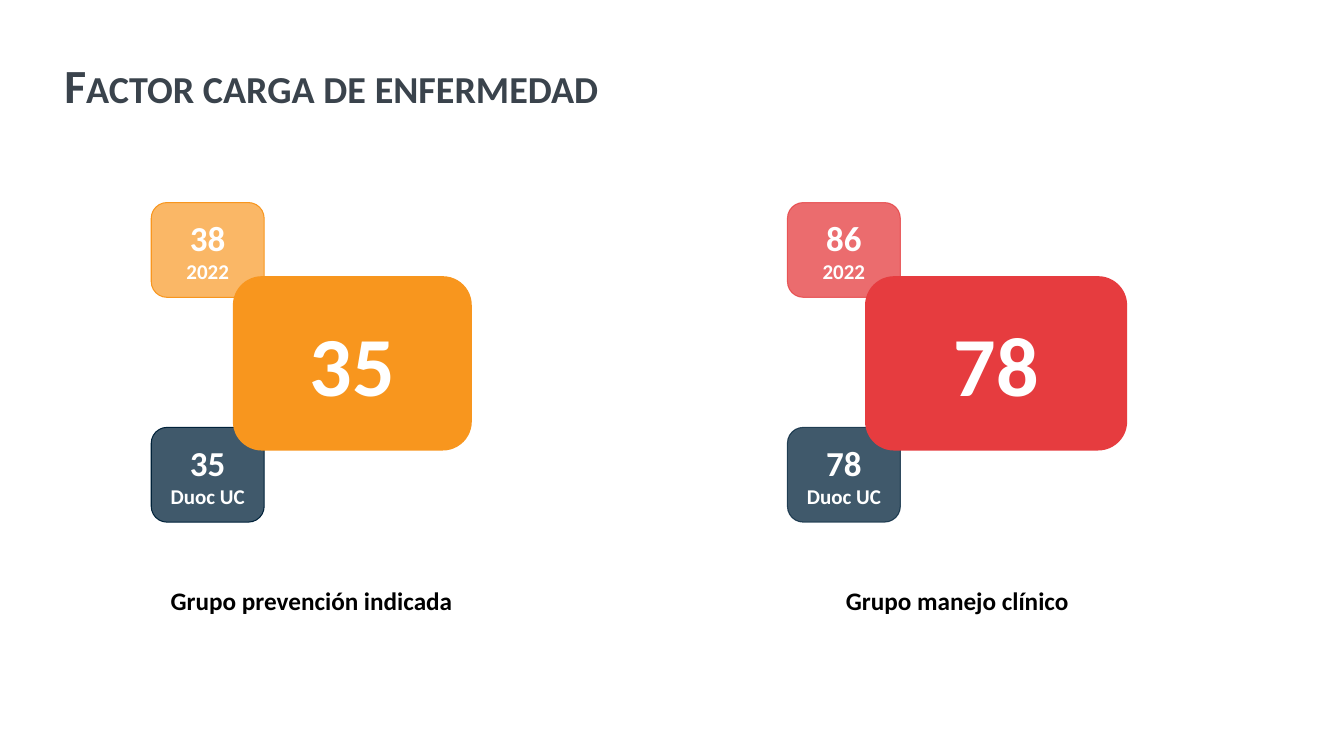
from lxml import etree
from pptx import Presentation
from pptx.dml.color import RGBColor
from pptx.enum.shapes import MSO_SHAPE
from pptx.enum.text import MSO_ANCHOR, PP_ALIGN
from pptx.oxml.ns import qn
from pptx.util import Pt

PX = 9144
ROUNDED = MSO_SHAPE.ROUNDED_RECTANGLE
MIDDLE, TOP = MSO_ANCHOR.MIDDLE, MSO_ANCHOR.TOP
CENTER, LEFT = PP_ALIGN.CENTER, PP_ALIGN.LEFT

COLORS = {
    "title": "3A434C",
    "label": "000000",
    "white": "FFFFFF",
    "navy": "00223A",
    "orange": "F8961E",
    "light_orange": "F99F33",
    "red": "E63C3F",
    "light_red": "E53C3E",
}
BADGE_WIDTH, BADGE_HEIGHT = 112, 94
CARD_TOP, CARD_HEIGHT = 73, 173
DUOC_TOP, LABEL_TOP, LABEL_HEIGHT = 223, 375, 40
OPACITY = 75

GROUPS = [
    {"box": (150, 201, 318), "card_offset": 81, "previous": "38", "current": "35",
     "label": "Grupo prevención indicada", "card": "orange",
     "badge": "light_orange", "border": "orange", "border_opacity": 100},
    {"box": (781, 201, 337), "card_offset": 77, "previous": "86", "current": "78",
     "label": "Grupo manejo clínico", "card": "red",
     "badge": "light_red", "border": "light_red", "border_opacity": OPACITY},
]


def px(*lengths):
    """Turn px lengths into EMU."""
    return [length * PX for length in lengths]


def paint(fill, color, opacity=100):
    """Give a fill a solid colour and an opacity in percent."""
    fill.solid()
    fill.fore_color.rgb = RGBColor.from_string(COLORS[color])
    if opacity < 100:
        color_element = fill._xPr.find(qn("a:solidFill"))[0]
        etree.SubElement(color_element, qn("a:alpha"), val=str(opacity * 1000))


def write(shape, lines, color, anchor=MIDDLE, align=CENTER):
    """Write bold lines, given as (text, size) pairs, into a shape."""
    frame = shape.text_frame
    frame.word_wrap = True
    frame.vertical_anchor = anchor
    for index, (text, size) in enumerate(lines):
        paragraph = frame.paragraphs[0] if index == 0 else frame.add_paragraph()
        paragraph.alignment = align
        run = paragraph.add_run()
        run.text = text
        formats = {"name": "Calibri", "size": Pt(size), "bold": True}
        for name, value in formats.items():
            setattr(run.font, name, value)
        run.font.color.rgb = RGBColor.from_string(COLORS[color])


def add_card(slide, box, lines, color, opacity=100, border=None, border_opacity=100):
    """Add a rounded card with white centred text."""
    shape = slide.shapes.add_shape(ROUNDED, *px(*box))
    shape.shadow.inherit = False
    paint(shape.fill, color, opacity)
    if border:
        shape.line.width = Pt(0.75)
        paint(shape.line.fill, border, border_opacity)
    else:
        shape.line.fill.background()
    write(shape, lines, "white")


def add_title(slide, box, text):
    """Add the slide title in small capitals."""
    shape = slide.shapes.add_textbox(*px(*box))
    write(shape, [(text, 34)], "title", align=LEFT)
    paragraph = shape.text_frame.paragraphs[0]
    paragraph.line_spacing = 0.9
    paragraph.runs[0].font._element.set("cap", "small")


def add_group(slide, group):
    """Add two badges, the large card over them and the label below."""
    left, top, width = group["box"]
    badges = [
        (top, group["previous"], "2022", group["badge"], group["border"]),
        (top + DUOC_TOP, group["current"], "Duoc UC", "navy", "navy"),
    ]
    for badge_top, value, caption, color, border in badges:
        add_card(slide, (left, badge_top, BADGE_WIDTH, BADGE_HEIGHT),
                 [(value, 25), (caption, 15)], color, OPACITY,
                 border, group["border_opacity"])
    offset = group["card_offset"]
    add_card(slide, (left + offset, top + CARD_TOP, width - offset, CARD_HEIGHT),
             [(group["current"], 60)], group["card"])
    label = slide.shapes.add_textbox(*px(left, top + LABEL_TOP, width, LABEL_HEIGHT))
    write(label, [(group["label"], 18)], "label", anchor=TOP)


def main():
    """Build the slide and save it."""
    presentation = Presentation()
    presentation.slide_width, presentation.slide_height = px(1333, 750)
    slide = presentation.slides.add_slide(presentation.slide_layouts[6])
    add_title(slide, (54, 40, 1273, 94), "Factor carga de enfermedad")
    for group in GROUPS:
        add_group(slide, group)
    presentation.save("out.pptx")


if __name__ == "__main__":
    main()
